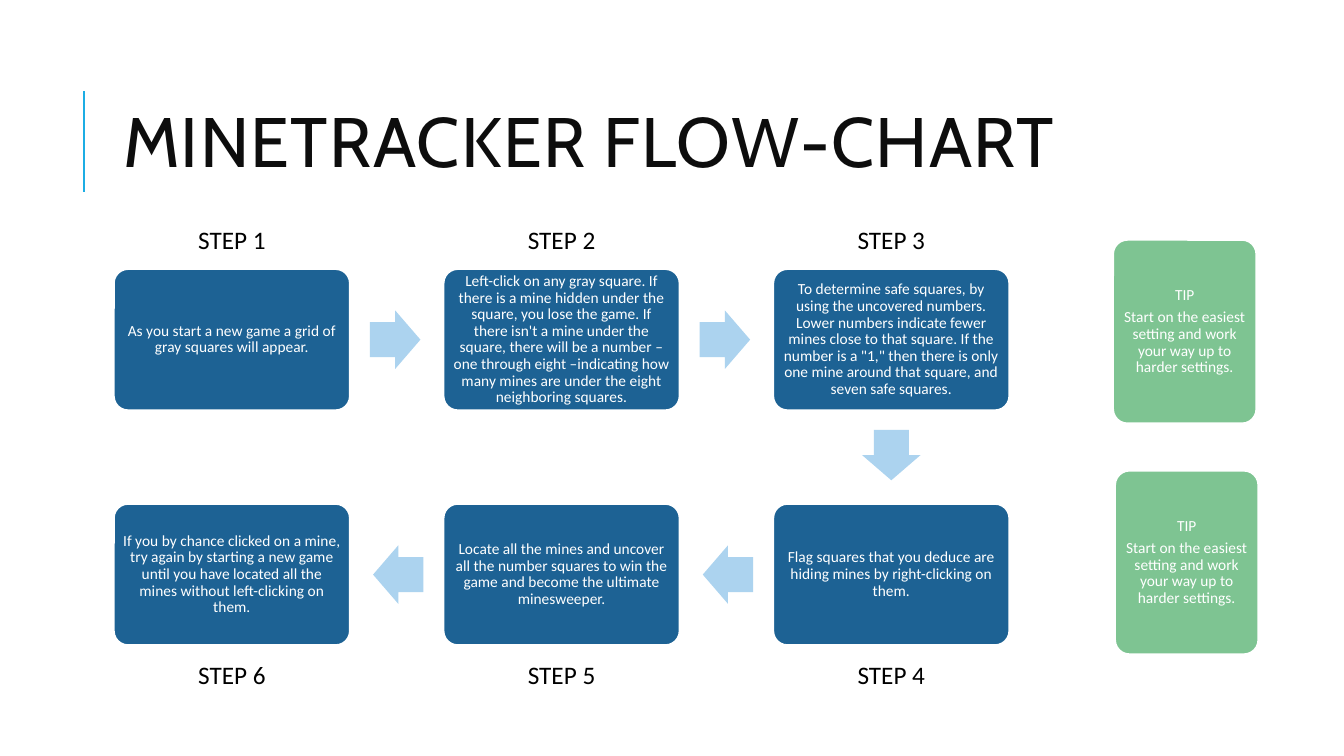
from pptx import Presentation
from pptx.dml.color import RGBColor
from pptx.enum.shapes import MSO_CONNECTOR as Link, MSO_SHAPE as Kind
from pptx.enum.text import MSO_ANCHOR as Anchor, PP_ALIGN as Align
from pptx.oxml.ns import qn
from pptx.util import Inches, Pt
from lxml.etree import SubElement

STEPS = [
    "As you start a new game a grid of gray squares will appear.",
    "Left-click on any gray square. If there is a mine hidden under the square, "
    "you lose the game. If there isn't a mine under the square, there will be a "
    "number – one through eight –indicating how many mines are under the eight "
    "neighboring squares.",
    "To determine safe squares, by using the uncovered numbers. Lower numbers "
    "indicate fewer mines close to that square. If the number is a \"1,\" then "
    "there is only one mine around that square, and seven safe squares.",
    "Flag squares that you deduce are hiding mines by right-clicking on them.",
    "Locate all the mines and uncover all the number squares to win the game "
    "and become the ultimate minesweeper.",
    "If you by chance clicked on a mine, try again by starting a new game until "
    "you have located all the mines without left-clicking on them.",
]
TIP = ["TIP", "Start on the easiest setting and work your way up to harder settings."]
COLS = 3
CARD_W, CARD_H = 2.34, 1.4
ARROW_W, ARROW_H = 0.5, 0.58


def color(code):
    return RGBColor.from_string(code)


def write(shape, lines, size=11, font="Calibri", ink="FFFFFF", align=Align.CENTER,
          anchor=Anchor.MIDDLE, space=0.9, after=4, inset=(0.05, 0.05), track=0):
    frame = shape.text_frame
    frame.word_wrap = True
    frame.vertical_anchor = anchor
    frame.margin_left = frame.margin_right = Inches(inset[0])
    frame.margin_top = frame.margin_bottom = Inches(inset[1])
    for i, line in enumerate(lines):
        para = frame.paragraphs[0] if i == 0 else frame.add_paragraph()
        para.alignment = align
        para.line_spacing = space
        para.space_before, para.space_after = Pt(0), Pt(after)
        run = para.add_run()
        run.text = line
        run.font.size, run.font.name = Pt(size), font
        run.font.color.rgb = color(ink)
        if track:
            run.font._element.set("spc", str(track * 100))


def block(slide, kind, box, fill, edge=None):
    shape = slide.shapes.add_shape(kind, *map(Inches, box))
    shape.shadow.inherit = False
    shape.fill.solid()
    shape.fill.fore_color.rgb = color(fill)
    if edge:
        shape.line.color.rgb = color(edge)
        shape.line.width = Pt(1.25)
    else:
        shape.line.fill.background()
    return shape


def card(slide, box, lines, fill, inset=(0.05, 0.05)):
    shape = block(slide, Kind.ROUNDED_RECTANGLE, box, fill, "FFFFFF")
    shape.adjustments[0] = 0.1
    write(shape, lines, inset=inset)


def arrow(slide, x, y, turn):
    box = (x - ARROW_W / 2, y - ARROW_H / 2, ARROW_W, ARROW_H)
    shape = block(slide, Kind.RIGHT_ARROW, box, "ACD3EF")
    shape.adjustments[0], shape.adjustments[1] = 0.6, 0.5
    shape.rotation = turn


def header(slide, x, y, w, h):
    rule = slide.shapes.add_connector(
        Link.STRAIGHT, *map(Inches, (x - 0.29, y + 1.26, x - 0.29, y + 0.26)))
    rule.line.color.rgb = color("1CADE4")
    rule.line.width = Pt(1.5)
    SubElement(rule._element.spPr, qn("a:effectLst"))
    title = slide.shapes.title
    title.left, title.top, title.width, title.height = map(Inches, (x, y, w, h))
    write(title, ["MINETRACKER FLOW-CHART"], size=50, font="Cabin", ink="0D0D0D",
          align=Align.LEFT, space=0.8, after=0, inset=(0.1, 0.05), track=1)


def flow(slide, x, y, w, h):
    step_x = (w - CARD_W) / (COLS - 1)
    drop = h - CARD_H
    for i, text in enumerate(STEPS):
        row, col = divmod(i, COLS)
        if row:
            col = COLS - 1 - col
        left, top = x + col * step_x, y + row * drop
        card(slide, (left, top, CARD_W, CARD_H), [text], "1D6294")
        label_y = top + 1.49 if row else top - 0.49
        label = slide.shapes.add_textbox(
            *map(Inches, (left, label_y, CARD_W, 0.4)))
        write(label, [f"STEP {i + 1}"], size=18, ink="000000", anchor=Anchor.TOP,
              space=1, after=0, inset=(0.1, 0.05))
        mid_x, mid_y = left + CARD_W / 2, top + CARD_H / 2
        if i == COLS - 1:
            arrow(slide, mid_x, y + h / 2 - 0.02, 90)
        elif i < len(STEPS) - 1:
            turn = 180 if row else 0
            shift = -1.62 if row else 1.62
            arrow(slide, mid_x + shift, mid_y, turn)


def tips(slide, x, y, w, h):
    for dx, dy in ((0, 0), (0.02, 2.29)):
        card(slide, (x + dx, y + dy, w, h), TIP, "7EC492", inset=(0.03, 0.05))


def main():
    deck = Presentation()
    deck.slide_width, deck.slide_height = Inches(13.33), Inches(7.5)
    slide = deck.slides.add_slide(deck.slide_layouts[5])
    header(slide, 1.12, 0.64, 10.63, 1.64)
    flow(slide, 1.13, 2.67, 8.88, 3.73)
    tips(slide, 11.04, 2.38, 1.42, 1.82)
    deck.save("out.pptx")


if __name__ == "__main__":
    main()
